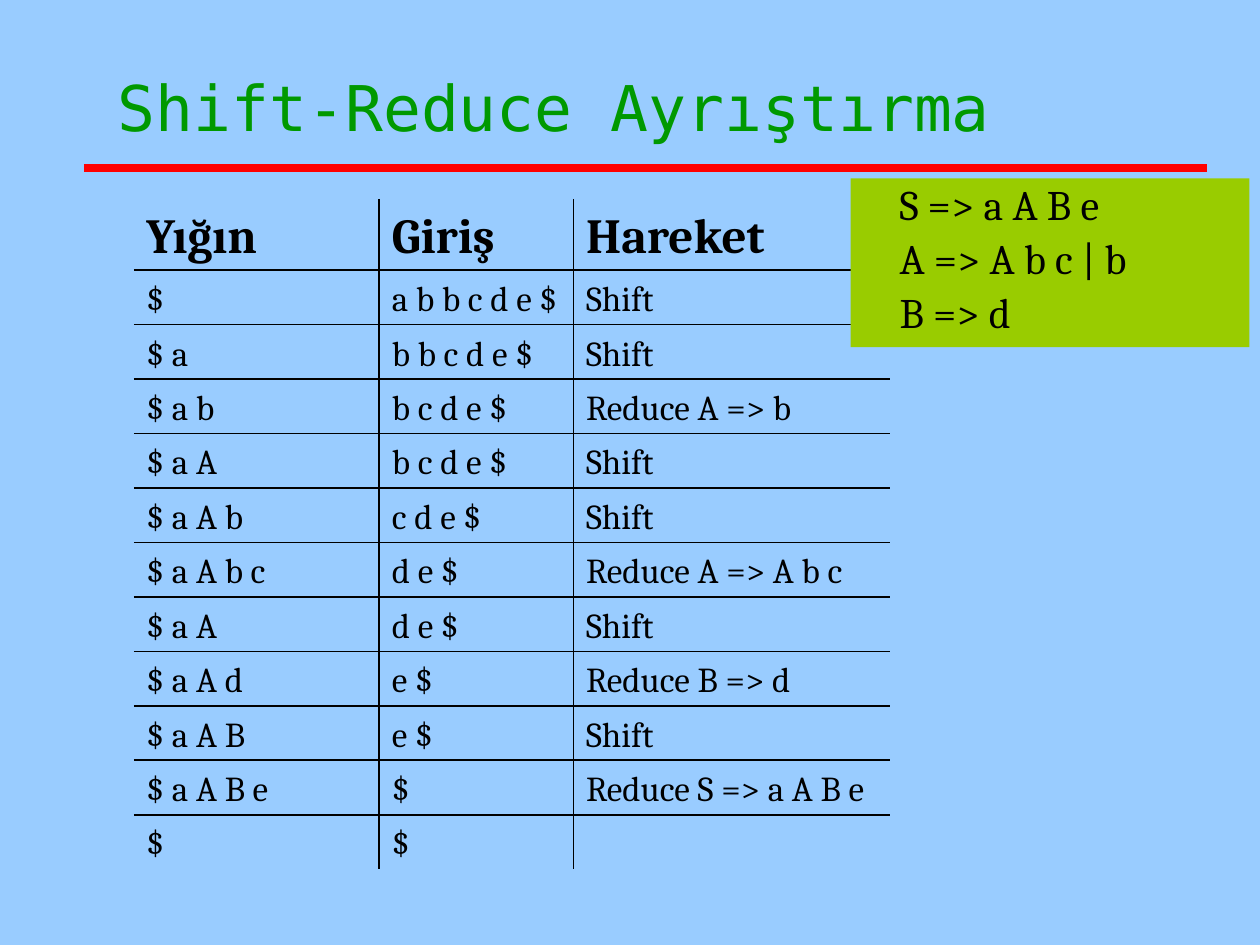
from dataclasses import dataclass
from itertools import accumulate

from lxml.etree import SubElement
from pptx import Presentation
from pptx.dml.color import RGBColor as RGB
from pptx.enum.shapes import MSO_CONNECTOR as CONNECTOR, MSO_SHAPE as SHAPE
from pptx.enum.text import MSO_ANCHOR as ANCHOR, PP_ALIGN as ALIGN
from pptx.oxml.ns import qn
from pptx.util import Pt


@dataclass(frozen=True)
class Theme:
    background: RGB = RGB(0x99, 0xCC, 0xFF)
    title: RGB = RGB(0x00, 0x99, 0x00)
    rule: RGB = RGB(0xFF, 0x00, 0x00)
    ink: RGB = RGB(0x00, 0x00, 0x00)
    panel: RGB = RGB(0x99, 0xCC, 0x00)
    title_font: str = "DejaVu Sans Mono"
    text_font: str = "Cambria"
    title_size: int = 36
    header_size: int = 28
    grammar_size: int = 24
    cell_size: int = 20


THEME = Theme()
HEADERS = ("Yığın", "Giriş", "Hareket")
STEPS = (
    ("$", "a b b c d e $", "Shift"),
    ("$ a", "b b c d e $", "Shift"),
    ("$ a b", "b c d e $", "Reduce A => b"),
    ("$ a A", "b c d e $", "Shift"),
    ("$ a A b", "c d e $", "Shift"),
    ("$ a A b c", "d e $", "Reduce A => A b c"),
    ("$ a A", "d e $", "Shift"),
    ("$ a A d", "e $", "Reduce B => d"),
    ("$ a A B", "e $", "Shift"),
    ("$ a A B e", "$", "Reduce S => a A B e"),
    ("$", "$", ""),
)
GRAMMAR = ("S => a A B e", "A => A b c | b", "B => d")
COLUMN_WIDTHS = (140.25, 111, 180.75)
ROW_HEIGHTS = (40.8,) + (31.12,) * len(STEPS)


def apply(obj, **values):
    for name, value in values.items():
        setattr(obj, name, value)


def add_text(p, text, size, font=THEME.text_font, color=THEME.ink, bold=False):
    p.alignment = ALIGN.LEFT
    if text:
        r = p.add_run()
        r.text = text
        apply(r.font, name=font, size=Pt(size), bold=bold)
        r.font.color.rgb = color


def add_title(slide, text):
    sp = slide.shapes.title
    apply(sp, left=Pt(60), top=Pt(35.5), width=Pt(612), height=Pt(90))
    tf = sp.text_frame
    apply(tf, vertical_anchor=ANCHOR.TOP, word_wrap=True)
    add_text(tf.paragraphs[0], text, THEME.title_size, THEME.title_font, THEME.title)


def add_line(slide, start, end, color=THEME.ink, width=1):
    points = [Pt(value) for value in (*start, *end)]
    line = slide.shapes.add_connector(CONNECTOR.STRAIGHT, *points)
    line.line.color.rgb = color
    line.line.width = Pt(width)
    SubElement(line._element.spPr, qn("a:effectLst"))


def clear_borders(cell):
    tc_pr = cell._tc.get_or_add_tcPr()
    for edge in ("lnL", "lnR", "lnT", "lnB"):
        SubElement(SubElement(tc_pr, qn(f"a:{edge}")), qn("a:noFill"))


def add_trace_table(slide, left, top):
    rows = (HEADERS, *STEPS)
    table = slide.shapes.add_table(
        len(rows), len(HEADERS), Pt(left), Pt(top),
        Pt(sum(COLUMN_WIDTHS)), Pt(sum(ROW_HEIGHTS))).table
    apply(table, first_row=False, horz_banding=False)
    for column, width in zip(table.columns, COLUMN_WIDTHS):
        column.width = Pt(width)
    for i, (values, height) in enumerate(zip(rows, ROW_HEIGHTS)):
        table.rows[i].height = Pt(height)
        for j, text in enumerate(values):
            cell = table.cell(i, j)
            apply(cell, margin_left=Pt(7.2), margin_right=0, margin_top=Pt(3.4),
                  margin_bottom=0, vertical_anchor=ANCHOR.MIDDLE)
            clear_borders(cell)
            cell.fill.background()
            size = THEME.cell_size if i else THEME.header_size
            add_text(cell.text_frame.paragraphs[0], text, size, bold=i == 0)


def add_inner_grid(slide, left, top):
    *row_edges, bottom = accumulate(ROW_HEIGHTS, initial=top)
    *column_edges, right = accumulate(COLUMN_WIDTHS, initial=left)
    for y in row_edges[1:]:
        add_line(slide, (left, y), (right, y))
    for x in column_edges[1:]:
        add_line(slide, (x, top), (x, bottom))


def add_grammar(slide, left, top, width, height):
    sp = slide.shapes.add_shape(
        SHAPE.RECTANGLE, Pt(left), Pt(top), Pt(width), Pt(height))
    sp.shadow.inherit = False
    sp.fill.solid()
    sp.fill.fore_color.rgb = THEME.panel
    sp.line.fill.background()
    tf = sp.text_frame
    apply(tf, word_wrap=True, vertical_anchor=ANCHOR.TOP,
          margin_left=Pt(28), margin_top=Pt(3.4), margin_bottom=0)
    for i, production in enumerate(GRAMMAR):
        p = tf.paragraphs[0] if i == 0 else tf.add_paragraph()
        apply(p, line_spacing=0.9, space_before=Pt(4.9 if i else 0))
        add_text(p, production, THEME.grammar_size)


def main():
    prs = Presentation()
    apply(prs, slide_width=Pt(720), slide_height=Pt(540))
    slide = prs.slides.add_slide(prs.slide_layouts[5])
    slide.background.fill.solid()
    slide.background.fill.fore_color.rgb = THEME.background
    add_line(slide, (48, 120), (48, 120), width=0.75)
    add_line(slide, (48, 96), (690, 96), THEME.rule, 4.5)
    add_title(slide, "Shift-Reduce Ayrıştırma")
    add_trace_table(slide, 76.5, 113.6)
    add_inner_grid(slide, 76.5, 113.6)
    add_grammar(slide, 486, 102, 228, 96.5)
    prs.save("out.pptx")


if __name__ == "__main__":
    main()
